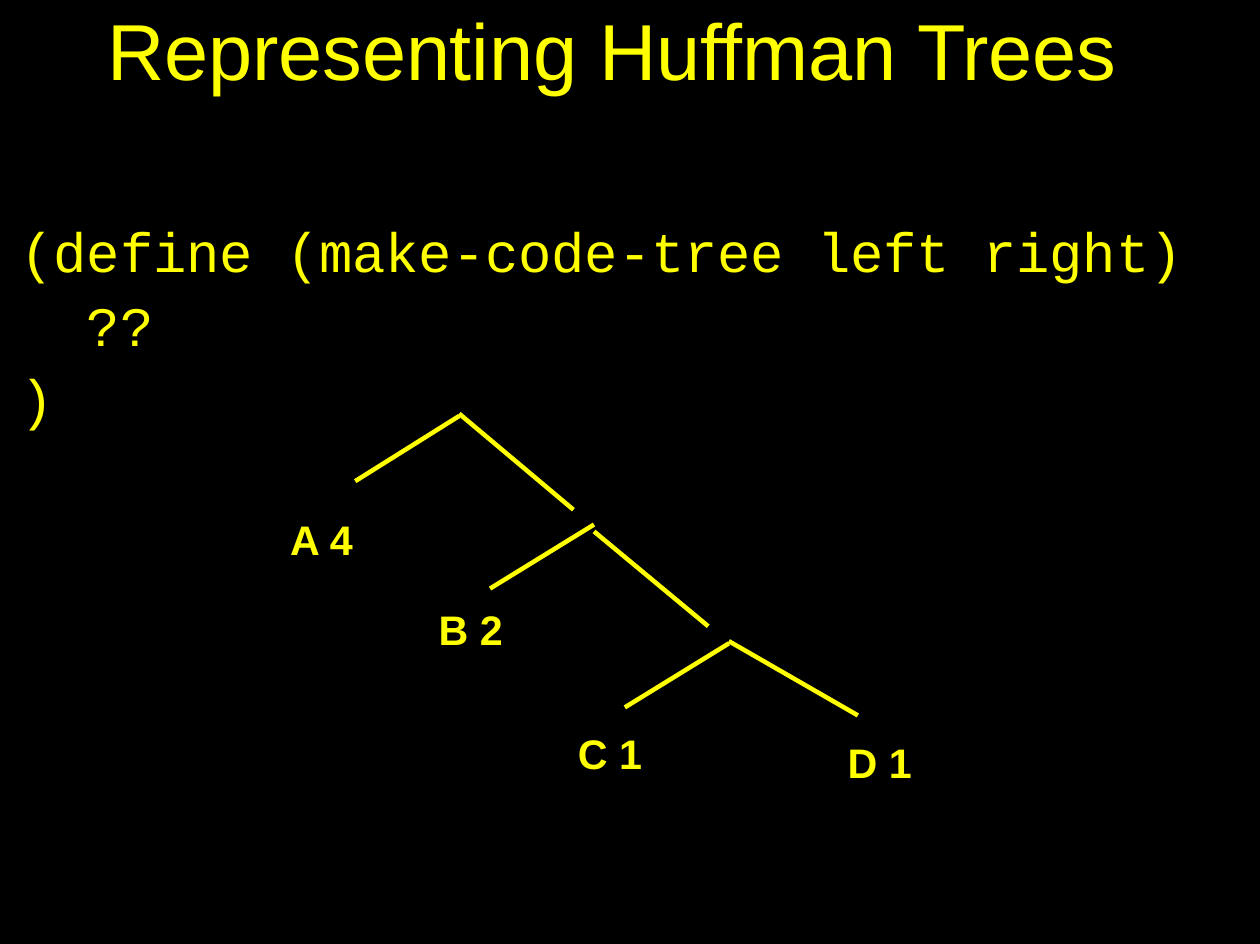
from lxml import etree
from pptx import Presentation
from pptx.dml.color import RGBColor
from pptx.enum.shapes import MSO_CONNECTOR
from pptx.oxml.ns import qn
from pptx.util import Pt

EMU_PER_PX = 9144  # 100 px to the inch
BLACK = RGBColor(0x00, 0x00, 0x00)
YELLOW = RGBColor(0xFF, 0xFF, 0x00)

CODE = ["(define (make-code-tree left right)", "  ??", ")"]
BRANCHES = [
    (402, 364, 311, 421),
    (402, 362, 502, 446),
    (520, 459, 429, 515),
    (520, 465, 620, 548),
    (638, 563, 547, 619),
    (638, 561, 751, 626),
]
LEAVES = [
    ("A 4", 254, 450),
    ("B 2", 384, 529),
    ("C 1", 506, 637),
    ("D 1", 742, 645),
]


def px(length):
    return length * EMU_PER_PX


def add_text(slide, lines, box, size, font_name="Arial", bold=False, gap=0, tracking=0):
    """Add one paragraph per line; gap is in points, tracking in hundredths."""
    text_frame = slide.shapes.add_textbox(*map(px, box)).text_frame
    text_frame.margin_left = text_frame.margin_right = 0
    text_frame.margin_top = text_frame.margin_bottom = 0
    text_frame.word_wrap = True
    text_frame.text = "\n".join(lines)
    for index, paragraph in enumerate(text_frame.paragraphs):
        paragraph.space_before = Pt(gap if index else 0)
        for run in paragraph.runs:
            run.font.name = font_name
            run.font.size = Pt(size)
            run.font.bold = bold
            run.font.color.rgb = YELLOW
            run._r.get_or_add_rPr().set("spc", str(tracking))


def add_branch(slide, ends):
    branch = slide.shapes.add_connector(MSO_CONNECTOR.STRAIGHT, *map(px, ends))
    branch.line.color.rgb = YELLOW
    branch.line.width = Pt(2.83)
    etree.SubElement(branch._element.spPr, qn("a:effectLst"))


def main():
    presentation = Presentation()
    presentation.slide_width = px(1103)
    presentation.slide_height = px(826)
    slide = presentation.slides.add_slide(presentation.slide_layouts[6])
    background = slide.background.fill
    background.solid()
    background.fore_color.rgb = BLACK

    add_text(slide, ["Representing Huffman Trees"], (94, 1, 890, 85), 50, tracking=-10)
    add_text(slide, CODE, (18, 190, 1020, 180), 35, "Courier New", gap=4.3, tracking=-10)
    for ends in BRANCHES:
        add_branch(slide, ends)
    for label, left, top in LEAVES:
        add_text(slide, [label], (left, top, 60, 42), 26, bold=True)

    presentation.save("out.pptx")


if __name__ == "__main__":
    main()
